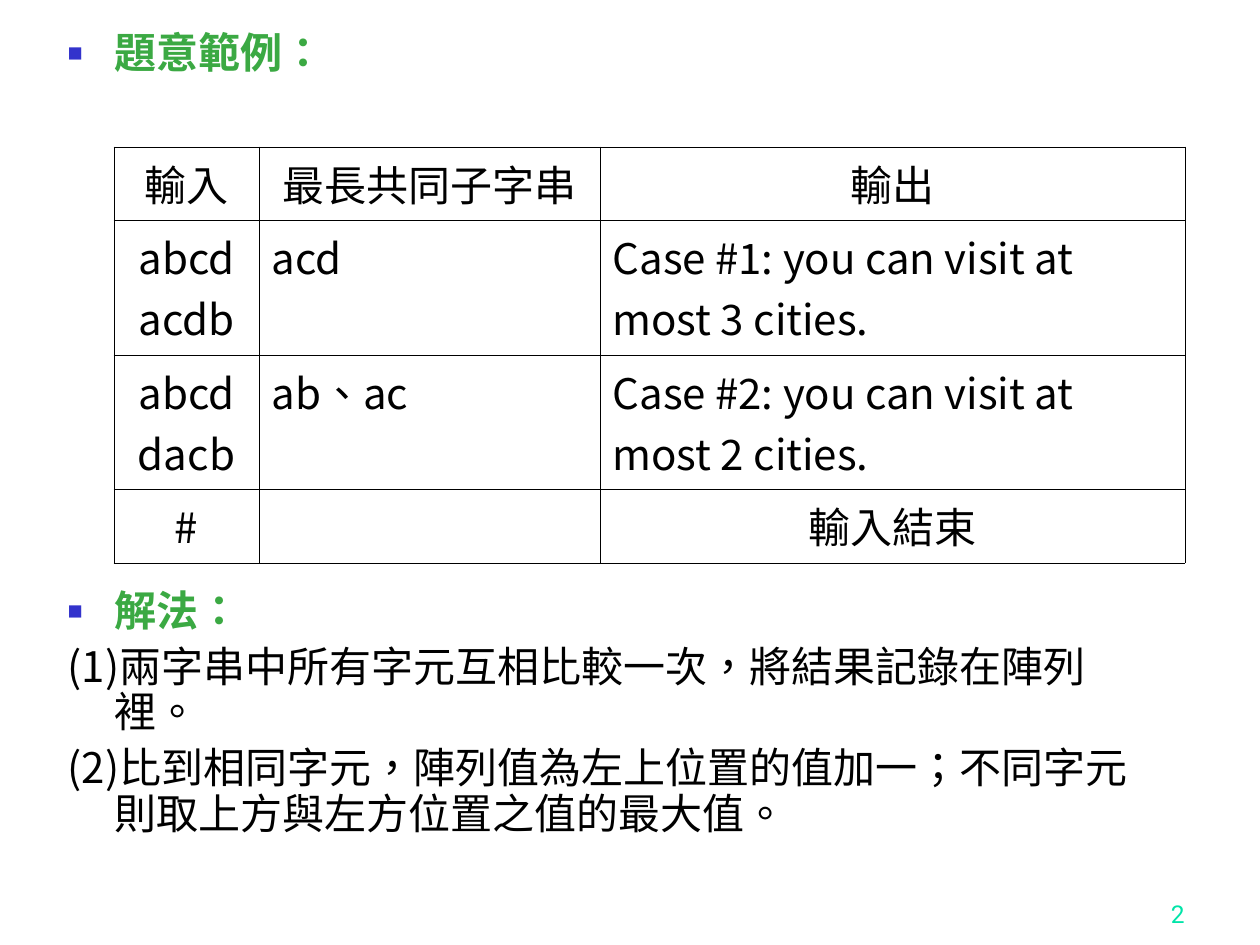
from lxml import etree
from pptx import Presentation
from pptx.dml.color import RGBColor
from pptx.enum.lang import MSO_LANGUAGE_ID as Lang
from pptx.enum.text import MSO_ANCHOR as Anchor, MSO_AUTO_SIZE as AutoSize, PP_ALIGN as Align
from pptx.oxml.ns import qn
from pptx.util import Pt

PX = 914400 / 126
SANS, SERIF, LATIN = "Noto Sans CJK SC", "Times New Roman", "Roboto"
BLACK, WHITE, GREEN, MINT, BLUE = "000000", "FFFFFF", "3BA943", "00E4A8", "3333CC"


def px(n):
    return round(n * PX)


def rgb(color):
    return RGBColor.from_string(color)


def sub(parent, tag, **attrs):
    return etree.SubElement(parent, qn(tag), attrs)


def write(p, text, size=24, font=SANS, color=BLACK, bold=False, align=Align.LEFT):
    p.alignment = align
    r = p.add_run()
    r.text = text
    f = r.font
    f.size, f.name, f.bold = Pt(size), font, bold
    f.color.rgb = rgb(color)
    f.language_id = Lang.TRADITIONAL_CHINESE
    r._r.get_or_add_rPr().find(qn("a:latin")).addnext(
        etree.Element(qn("a:ea"), typeface=SANS))


class Deck:
    def __init__(self, width, height):
        self.prs = Presentation()
        self.prs.slide_width, self.prs.slide_height = px(width), px(height)

    def new_slide(self):
        self.s = self.prs.slides.add_slide(self.prs.slide_layouts[1])
        title = self.s.shapes.title._element
        title.getparent().remove(title)

    def body(self, x, y, w, h, items):
        """Items are (text, is_heading, space before in points)."""
        sp = self.s.placeholders[1]
        sp.left, sp.top, sp.width, sp.height = map(px, (x, y, w, h))
        tf = sp.text_frame
        tf.auto_size = AutoSize.NONE
        for i, (text, heading, before) in enumerate(items):
            p = tf.add_paragraph() if i else tf.paragraphs[0]
            pPr = p._p.get_or_add_pPr()
            pPr.set("marL", str(px(47)))
            pPr.set("indent", str(px(-47)))
            pPr.set("hangingPunct", "0")
            if heading:
                sub(sub(pPr, "a:buClr"), "a:srgbClr", val=BLUE)
                sub(pPr, "a:buSzPct", val="60000")
                sub(pPr, "a:buChar", char="■")
                write(p, text, font=SERIF, color=GREEN, bold=True)
            else:
                sub(pPr, "a:buNone")
                write(p, text)
            p.line_spacing = 0.9
            p.space_before = Pt(before)

    def table(self, x, y, widths, heights, rows):
        """Column 0, the first row and the last row are centred."""
        t = self.s.shapes.add_table(len(rows), len(widths), px(x), px(y),
                                    px(sum(widths)), px(sum(heights))).table
        t.first_row = t.horz_banding = False
        for col, w in zip(t.columns, widths):
            col.width = px(w)
        for i, (row, h) in enumerate(zip(rows, heights)):
            t.rows[i].height = px(h)
            for j, text in enumerate(row):
                centred = j == 0 or i in (0, len(rows) - 1)
                self.cell(t.cell(i, j), text, Align.CENTER if centred else Align.LEFT)

    def cell(self, cell, text, align):
        tcPr = cell._tc.get_or_add_tcPr()
        for side in "LRTB":
            ln = sub(tcPr, f"a:ln{side}", w=str(Pt(0.45)))
            sub(sub(ln, "a:solidFill"), "a:srgbClr", val=BLACK)
        cell.fill.solid()
        cell.fill.fore_color.rgb = rgb(WHITE)
        tf = cell.text_frame
        for i, line in enumerate(text.splitlines()):
            write(tf.add_paragraph() if i else tf.paragraphs[0], line, align=align)

    def text(self, x, y, w, h, text, anchor, **style):
        tf = self.s.shapes.add_textbox(*map(px, (x, y, w, h))).text_frame
        tf.word_wrap = True
        tf.vertical_anchor = anchor
        write(tf.paragraphs[0], text, **style)


def main():
    deck = Deck(1260, 945)
    deck.new_slide()

    # Page number
    deck.text(935, 872, 262, 63, "2", Anchor.BOTTOM,
              size=14, font=LATIN, color=MINT, align=Align.RIGHT)

    # Headings and solution steps, with room for the table between them
    deck.body(55, 26, 1112, 853, [
        ("題意範例：", True, 0),
        ("解法：", True, 293),
        ("(1)兩字串中所有字元互相比較一次，將結果記錄在陣列裡。", False, 6),
        ("(2)比到相同字元，陣列值為左上位置的值加一；不同字元則取上方與左方位置之值的最大值。", False, 6),
    ])

    # Sample input and output
    deck.table(114, 147, [145, 341, 585], [73, 135, 134, 74], [
        ("輸入", "最長共同子字串", "輸出"),
        ("abcd\nacdb", "acd", "Case #1: you can visit at most 3 cities."),
        ("abcd\ndacb", "ab、ac", "Case #2: you can visit at most 2 cities."),
        ("#", "", "輸入結束"),
    ])

    deck.prs.save("out.pptx")


if __name__ == "__main__":
    main()
